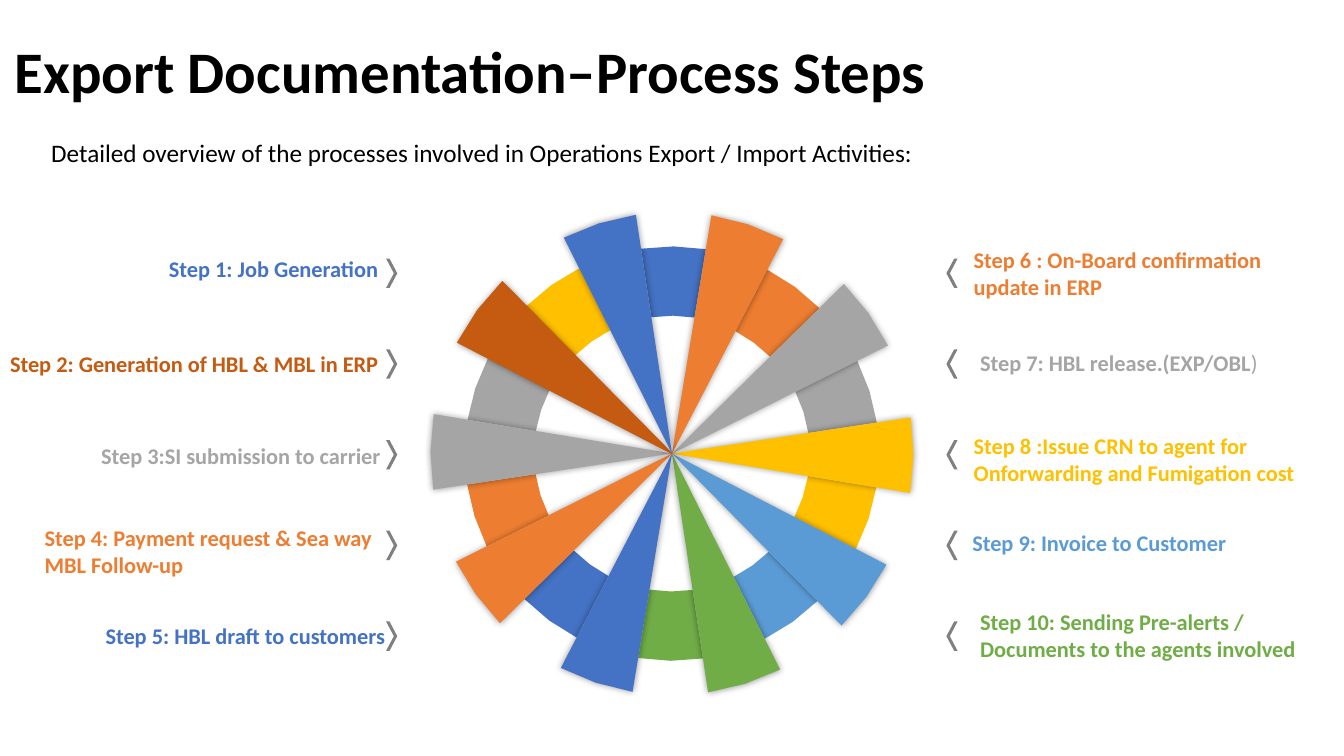
from dataclasses import dataclass
from math import cos, radians, sin

from lxml import etree
from pptx import Presentation
from pptx.dml.color import RGBColor
from pptx.enum.shapes import MSO_SHAPE
from pptx.enum.text import MSO_ANCHOR, MSO_AUTO_SIZE, PP_ALIGN
from pptx.oxml.ns import qn
from pptx.util import Pt

CHEVRON = MSO_SHAPE.CHEVRON
TOP, MIDDLE = MSO_ANCHOR.TOP, MSO_ANCHOR.MIDDLE
FIXED = MSO_AUTO_SIZE.NONE
LEFT, CENTER = PP_ALIGN.LEFT, PP_ALIGN.CENTER

BLACK = RGBColor(0x00, 0x00, 0x00)
DARK = RGBColor(0x80, 0x80, 0x80)
BLUE = RGBColor(0x44, 0x72, 0xC4)
ORANGE = RGBColor(0xED, 0x7D, 0x31)
GRAY = RGBColor(0xA5, 0xA5, 0xA5)
GOLD = RGBColor(0xFF, 0xC0, 0x00)
SKY = RGBColor(0x5B, 0x9B, 0xD5)
GREEN = RGBColor(0x70, 0xAD, 0x47)
RUST = RGBColor(0xC5, 0x5A, 0x11)

# Wheel geometry in points and degrees, clockwise from the top
HUB_X, HUB_Y = 480, 324
BLADE, RIM, HOLE = 172.5, 148, 98.5
COUNT = 10
PITCH = 360 / COUNT
TILT = 0.4
HALF = PITCH / 4

# Chevron rows
ROW_TOP, ROW_GAP = 184.7, 64.8
LEFT_X, RIGHT_X = 275.8, 676


@dataclass
class Step:
    text: str
    color: RGBColor
    left: float
    top: float
    width: float
    height: float = 19.5
    tail: str = ""


@dataclass
class Slice:
    angle: float
    color: RGBColor
    inner: float
    outer: float
    shadow: bool


LEFT_STEPS = [
    Step("Step 1: Job Generation", BLUE, 120.6, 182.2, 156),
    Step("Step 2: Generation of HBL & MBL in ERP", RUST, 7.2, 250, 268),
    Step("Step 3:SI submission to carrier", GRAY, 72.2, 315.9, 206),
    Step("Step 4: Payment request & Sea way MBL Follow-up", ORANGE,
         31.9, 374.4, 250, 39),
    Step("Step 5: HBL draft to customers", BLUE, 75.4, 444.2, 208),
]
RIGHT_STEPS = [
    Step("Step 6 : On-Board confirmation update in ERP", ORANGE,
         695.5, 175.7, 250, 39),
    Step("Step 7: HBL release.(EXP/OBL", GRAY, 700.1, 249.5, 215, tail=")"),
    Step("Step 8 :Issue CRN to agent for Onforwarding and Fumigation cost",
         GOLD, 695.5, 308.6, 245, 39),
    Step("Step 9: Invoice to Customer", SKY, 694.5, 378, 215),
    Step("Step 10: Sending Pre-alerts / Documents to the agents involved",
         GREEN, 700.1, 434.2, 250, 39),
]
RIM_COLORS = [BLUE, ORANGE, GRAY, GOLD, SKY, GREEN, BLUE, ORANGE, GRAY, GOLD]
BLADE_COLORS = [ORANGE, GRAY, GOLD, SKY, GREEN, BLUE, ORANGE, GRAY, RUST, BLUE]


def set_all(item, values: dict) -> None:
    for name, value in values.items():
        setattr(item, name, value)


def place(shape, left: float, top: float, width: float, height: float) -> None:
    set_all(shape, {"left": Pt(left), "top": Pt(top),
                    "width": Pt(width), "height": Pt(height)})


def set_frame(frame, anchor, inset: bool = False) -> None:
    side, edge = (Pt(7.2), Pt(3.6)) if inset else (0, 0)
    set_all(frame, {"word_wrap": True, "auto_size": FIXED,
                    "vertical_anchor": anchor,
                    "margin_left": side, "margin_right": side,
                    "margin_top": edge, "margin_bottom": edge})


def add_run(para, text: str, size: float, color: RGBColor, bold: bool) -> None:
    run = para.add_run()
    run.text = text
    set_all(run.font, {"name": "Calibri", "size": Pt(size), "bold": bold})
    run.font.color.rgb = color


def add_step(shapes, step: Step) -> None:
    box = shapes.add_textbox(0, 0, 0, 0)
    place(box, step.left, step.top, step.width, step.height)
    set_frame(box.text_frame, MIDDLE)
    para = box.text_frame.paragraphs[0]
    para.alignment = LEFT
    add_run(para, step.text, 16, step.color, True)
    if step.tail:
        add_run(para, step.tail, 16, step.color, False)


def add_mark(shapes, left: float, top: float, turn: float) -> None:
    mark = shapes.add_shape(CHEVRON, Pt(left), Pt(top), Pt(8), Pt(21))
    mark.adjustments[0] = 0.695
    mark.rotation = turn
    mark.shadow.inherit = False
    mark.fill.solid()
    mark.fill.fore_color.rgb = DARK
    mark.line.fill.background()


def arc(angle: float, radius: float) -> list[tuple[int, int]]:
    turns = [radians(angle + HALF * side) for side in (-1, 0, 1)]
    return [(Pt(HUB_X + radius * sin(t)), Pt(HUB_Y - radius * cos(t)))
            for t in turns]


def add_slice(shapes, part: Slice) -> None:
    points = arc(part.angle, part.outer)
    if part.inner:
        points += reversed(arc(part.angle, part.inner))
    else:
        points.append((Pt(HUB_X), Pt(HUB_Y)))
    pen = shapes.build_freeform(*points[0])
    pen.add_line_segments(points[1:], close=True)
    shape = pen.convert_to_shape()
    shape.fill.solid()
    shape.fill.fore_color.rgb = part.color
    if part.color == RUST:
        shape.line.color.rgb = RUST
        shape.line.width = Pt(0.75)
    else:
        shape.line.fill.background()
    shape.shadow.inherit = False
    if part.shadow:
        effects = shape.element.spPr.find(qn("a:effectLst"))
        outer = etree.SubElement(effects, qn("a:outerShdw"),
                                 blurRad=str(Pt(5)), dist="0", dir="0",
                                 algn="ctr", rotWithShape="0")
        tint = etree.SubElement(outer, qn("a:srgbClr"), val=str(BLACK))
        etree.SubElement(tint, qn("a:alpha"), val="40000")


def main() -> None:
    deck = Presentation()
    set_all(deck, {"slide_width": Pt(960), "slide_height": Pt(540)})
    slide = deck.slides.add_slide(deck.slide_layouts[5])
    shapes = slide.shapes

    # Title and subtitle
    title = shapes.title
    place(title, 7.2, 27.4, 657.4, 51.8)
    set_frame(title.text_frame, MIDDLE)
    para = title.text_frame.paragraphs[0]
    set_all(para, {"alignment": CENTER, "line_spacing": 0.9})
    add_run(para, "Export Documentation–Process Steps", 42, BLACK, True)

    intro = shapes.add_textbox(Pt(29.5), Pt(94.3), Pt(646.6), Pt(29))
    set_frame(intro.text_frame, TOP, inset=True)
    add_run(intro.text_frame.paragraphs[0],
            "Detailed overview of the processes involved in "
            "Operations Export / Import Activities:", 18, BLACK, False)

    # Step labels and chevrons
    for steps, left, turn in ((LEFT_STEPS, LEFT_X, 0),
                              (RIGHT_STEPS, RIGHT_X, 180)):
        for row, step in enumerate(steps):
            add_step(shapes, step)
            add_mark(shapes, left, ROW_TOP + row * ROW_GAP, turn)

    # Wheel: rim first, blades in the gaps above it
    rim = [Slice(TILT + i * PITCH, color, HOLE, RIM, False)
           for i, color in enumerate(RIM_COLORS)]
    blades = [Slice(TILT + (i + 0.5) * PITCH, color, 0, BLADE, True)
              for i, color in enumerate(BLADE_COLORS)]
    for part in rim + blades:
        add_slice(shapes, part)

    deck.save("out.pptx")


if __name__ == "__main__":
    main()
